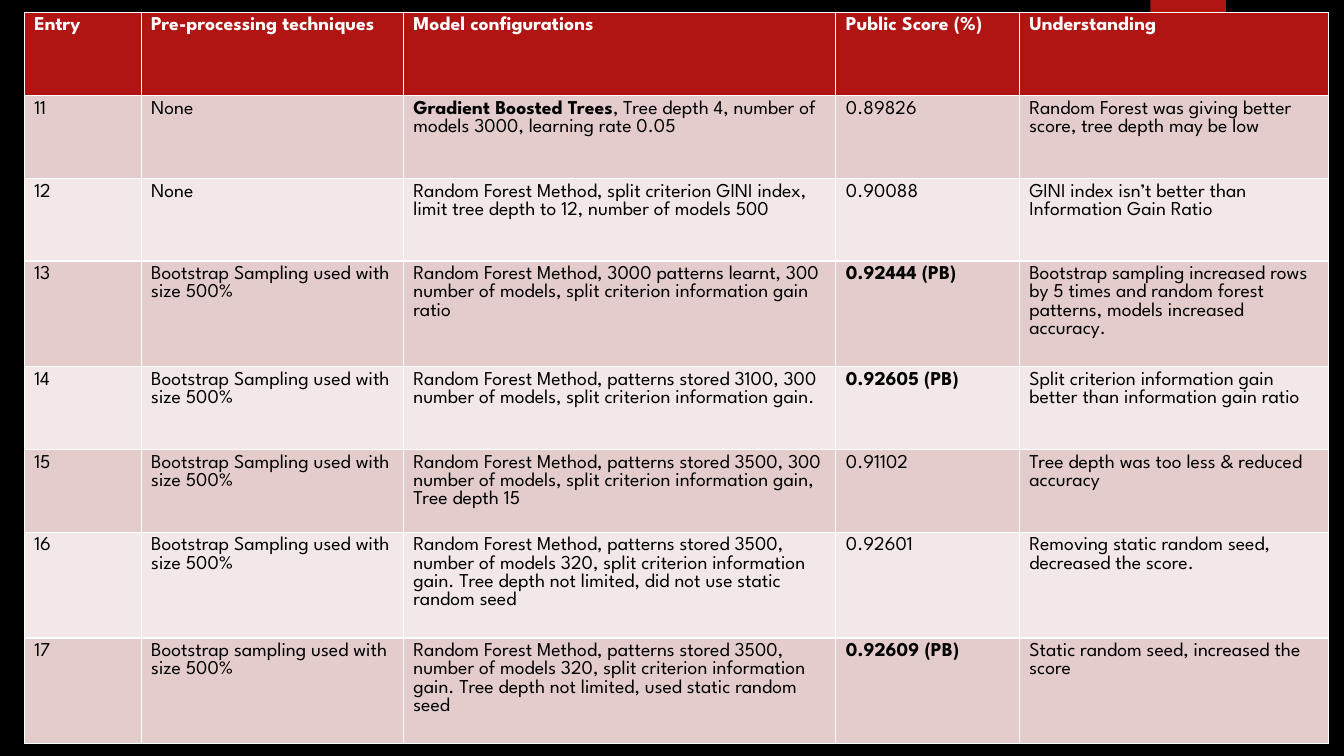
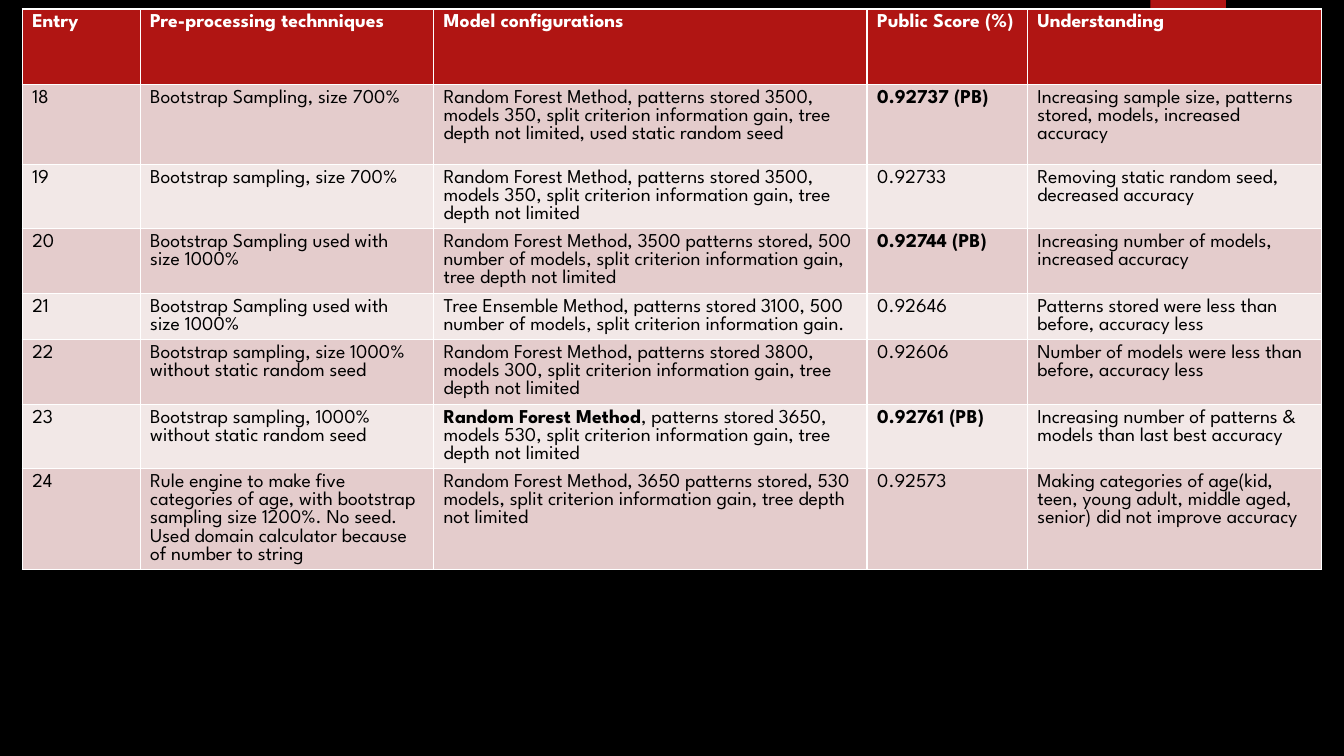
"""Build two slides of model score tables, entries 11 to 24."""
from pptx import Presentation
from pptx import util as u
from pptx.dml.color import RGBColor
from pptx.enum import shapes

BLACK = RGBColor(0x00, 0x00, 0x00)
WHITE = RGBColor(0xFF, 0xFF, 0xFF)
RED = RGBColor(0xB0, 0x15, 0x13)
ROSE = RGBColor(0xE4, 0xCC, 0xCC)
PALE = RGBColor(0xF2, 0xE8, 0xE7)
FONT = "League Spartan"

FOREST = "Random Forest Method, "
BOOT = "Bootstrap Sampling used with size "
GAIN = "split criterion information gain"
FREE = GAIN + ", tree depth not limited"

SLIDES = [
    {
        "at": (0.24, 0.12),
        "cols": [1.16, 2.6, 4.29, 1.82, 3.07],
        "rows": [0.83, 0.82, 0.82, 1.05, 0.82, 0.82, 1.05, 1.05],
        "cells": [
            ("Entry", "Pre-processing techniques", "Model configurations",
             "Public Score (%)", "Understanding"),
            ("11", "None",
             "*Gradient Boosted Trees*, Tree depth 4, number of models 3000, learning rate 0.05",
             "0.89826", "Random Forest was giving better score, tree depth may be low"),
            ("12", "None",
             FOREST + "split criterion GINI index, limit tree depth to 12, number of models 500",
             "0.90088", "GINI index isn’t better than Information Gain Ratio"),
            ("13", BOOT + "500%",
             FOREST + "3000 patterns learnt, 300 number of models, " + GAIN + " ratio",
             "*0.92444 (PB)*",
             "Bootstrap sampling increased rows by 5 times and random forest patterns, "
             "models increased accuracy."),
            ("14", BOOT + "500%",
             FOREST + "patterns stored 3100, 300 number of models, " + GAIN + ".",
             "*0.92605 (PB)*",
             "Split criterion information gain better than information gain ratio"),
            ("15", BOOT + "500%",
             FOREST + "patterns stored 3500, 300 number of models, " + GAIN + ", Tree depth 15",
             "0.91102", "Tree depth was too less & reduced accuracy"),
            ("16", BOOT + "500%",
             FOREST + "patterns stored 3500, number of models 320, " + GAIN
             + ". Tree depth not limited, did not use static random seed",
             "0.92601", "Removing static random seed, decreased the score."),
            ("17", "Bootstrap sampling used with size 500%",
             FOREST + "patterns stored 3500, number of models 320, " + GAIN
             + ". Tree depth not limited, used static random seed",
             "*0.92609 (PB)*", "Static random seed, increased the score"),
        ],
    },
    {
        "at": (0.22, 0.09),
        "cols": [1.17, 2.91, 4.3, 1.59, 2.92],
        "rows": [0.75, 0.79] + [0.41] * 6,
        "cells": [
            ("Entry", "Pre-processing technniques", "Model configurations",
             "Public Score (%)", "Understanding"),
            ("18", "Bootstrap Sampling, size 700%",
             FOREST + "patterns stored 3500, models 350, " + FREE + ", used static random seed",
             "*0.92737 (PB)*",
             "Increasing sample size, patterns stored, models, increased accuracy"),
            ("19", "Bootstrap sampling, size 700%",
             FOREST + "patterns stored 3500, models 350, " + FREE,
             "0.92733", "Removing static random seed, decreased accuracy"),
            ("20", BOOT + "1000%",
             FOREST + "3500 patterns stored, 500 number of models, " + FREE,
             "*0.92744 (PB)*", "Increasing number of models, increased accuracy"),
            ("21", BOOT + "1000%",
             "Tree Ensemble Method, patterns stored 3100, 500 number of models, " + GAIN + ".",
             "0.92646", "Patterns stored were less than before, accuracy less"),
            ("22", "Bootstrap sampling, size 1000% without static random seed",
             FOREST + "patterns stored 3800, models 300, " + FREE,
             "0.92606", "Number of models were less than before, accuracy less"),
            ("23", "Bootstrap sampling, 1000% without static random seed",
             "*Random Forest Method*, patterns stored 3650, models 530, " + FREE,
             "*0.92761 (PB)*", "Increasing number of patterns & models than last best accuracy"),
            ("24",
             "Rule engine to make five categories of age, with bootstrap sampling size 1200%. "
             "No seed. Used domain calculator because of number to string",
             FOREST + "3650 patterns stored, 530 models, " + FREE,
             "0.92573",
             "Making categories of age(kid, teen, young adult, middle aged, senior) "
             "did not improve accuracy"),
        ],
    },
]


def fill_cell(cell, words, fill, ink, head):
    cell.fill.solid()
    cell.fill.fore_color.rgb = fill
    para = cell.text_frame.paragraphs[0]
    for part, piece in enumerate(words.split("*")):
        if piece:
            run = para.add_run()
            run.text = piece
            run.font.name = FONT
            run.font.size = u.Pt(14)
            run.font.bold = head or part % 2 == 1
            run.font.color.rgb = ink


deck = Presentation()
deck.slide_width = u.Inches(13.33)
deck.slide_height = u.Inches(7.5)

for data in SLIDES:
    slide = deck.slides.add_slide(deck.slide_layouts[6])
    slide.background.fill.solid()
    slide.background.fill.fore_color.rgb = BLACK

    tab = slide.shapes.add_shape(shapes.MSO_SHAPE.RECTANGLE, u.Inches(11.41), u.Inches(0),
                                 u.Inches(0.75), u.Inches(1.25))
    tab.shadow.inherit = False
    tab.fill.solid()
    tab.fill.fore_color.rgb = RED
    tab.line.fill.background()

    left, top = data["at"]
    cols, rows = data["cols"], data["rows"]
    table = slide.shapes.add_table(len(rows), len(cols), u.Inches(left), u.Inches(top),
                                   u.Inches(sum(cols)), u.Inches(sum(rows))).table
    for col, width in zip(table.columns, cols):
        col.width = u.Inches(width)
    for row, height in zip(table.rows, rows):
        row.height = u.Inches(height)

    for r, line in enumerate(data["cells"]):
        head = r == 0
        fill = RED if head else ROSE if r % 2 else PALE
        for c, words in enumerate(line):
            fill_cell(table.cell(r, c), words, fill, WHITE if head else BLACK, head)

deck.save("out.pptx")
